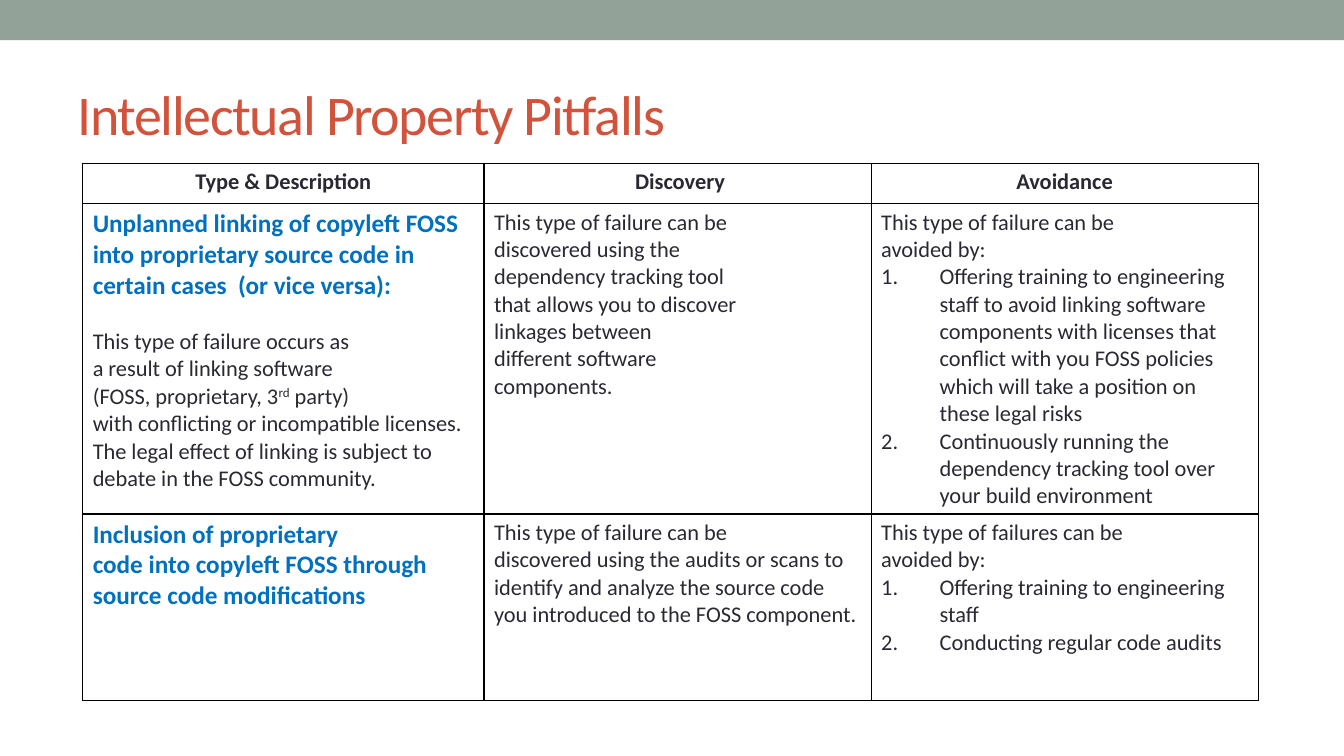
"""Build the slide on intellectual property pitfalls."""
from dataclasses import dataclass

from lxml.etree import SubElement
from pptx import Presentation
from pptx.dml.color import RGBColor
from pptx.enum.shapes import MSO_SHAPE
from pptx.enum.text import MSO_ANCHOR, PP_ALIGN
from pptx.oxml.ns import qn
from pptx.slide import Slide
from pptx.table import _Cell
from pptx.text.text import _Paragraph
from pptx.util import Inches, Pt

SAGE = RGBColor(0x93, 0xA2, 0x99)
RUST = RGBColor(0xD2, 0x53, 0x3C)
INK = RGBColor(0x29, 0x29, 0x34)
BLUE = RGBColor(0x00, 0x70, 0xC0)
BLACK = RGBColor(0x00, 0x00, 0x00)
FONT = "Calibri"
COLUMN_WIDTHS = (3.98, 3.84, 3.84)
ROW_HEIGHTS = (0.4, 3.08, 1.85)
NUMBER_INDENT = 0.58


@dataclass(frozen=True)
class Line:
    """One paragraph of a cell; a caret pair marks superscript text."""
    text: str
    size: float = 16
    color: RGBColor = INK
    bold: bool = False
    centered: bool = False
    numbered: bool = False
    space_before: float = 0


def header(text: str) -> list[Line]:
    """Return the content of a header cell."""
    return [Line(text, bold=True, centered=True)]


def headline(*texts: str) -> list[Line]:
    """Return the blue lines that name a pitfall."""
    return [Line(text, size=18, color=BLUE, bold=True) for text in texts]


def plain(*texts: str) -> list[Line]:
    """Return ordinary lines."""
    return [Line(text) for text in texts]


def numbered(*texts: str) -> list[Line]:
    """Return lines of a numbered list."""
    return [Line(text, numbered=True) for text in texts]


ROWS = [
    [header("Type & Description"), header(" Discovery"), header("Avoidance")],
    [
        headline("Unplanned linking of copyleft FOSS into proprietary source code "
                 "in certain cases  (or vice versa):")
        + [Line("This type of failure occurs as", space_before=19.5)]
        + plain("a result of linking software", "(FOSS, proprietary, 3^rd^ party)",
                "with conflicting or incompatible licenses. The legal effect of "
                "linking is subject to debate in the FOSS community."),
        plain("This type of failure can be", "discovered using the",
              "dependency tracking tool", "that allows you to discover",
              "linkages between", "different software", "components."),
        plain("This type of failure can be", "avoided by:")
        + numbered("Offering training to engineering staff to avoid linking software "
                   "components with licenses that conflict with you FOSS policies "
                   "which will take a position on these legal risks",
                   "Continuously running the dependency tracking tool over your "
                   "build environment"),
    ],
    [
        headline("Inclusion of proprietary", "code into copyleft FOSS through",
                 "source code modifications"),
        plain("This type of failure can be",
              "discovered using the audits or scans to identify and analyze the "
              "source code you introduced to the FOSS component."),
        plain("This type of failures can be", "avoided by:")
        + numbered("Offering training to engineering staff",
                   "Conducting regular code audits"),
    ],
]


def write_line(para: _Paragraph, line: Line) -> None:
    """Fill a paragraph with the runs of a line."""
    para.alignment = PP_ALIGN.CENTER if line.centered else PP_ALIGN.LEFT
    if line.space_before:
        para.space_before = Pt(line.space_before)
    if line.numbered:
        properties = para._p.get_or_add_pPr()
        properties.set("marL", str(Inches(NUMBER_INDENT)))
        properties.set("indent", str(-Inches(NUMBER_INDENT)))
        SubElement(properties, qn("a:buFont"), typeface="+mj-lt")
        SubElement(properties, qn("a:buAutoNum"), type="arabicPeriod")
    for position, text in enumerate(line.text.split("^")):
        span = para.add_run()
        span.text = text
        span.font.name = FONT
        span.font.size = Pt(line.size)
        span.font.bold = line.bold
        span.font.color.rgb = line.color
        if position % 2:
            span._r.get_or_add_rPr().set("baseline", "30000")


def draw_borders(cell: _Cell) -> None:
    """Put a thin black line on each side of a cell."""
    for side in ("lnL", "lnR", "lnT", "lnB"):
        border = SubElement(cell._tc.get_or_add_tcPr(), qn(f"a:{side}"), w=str(Pt(1)))
        fill = SubElement(border, qn("a:solidFill"))
        SubElement(fill, qn("a:srgbClr"), val=str(BLACK))


def write_cell(cell: _Cell, lines: list[Line]) -> None:
    """Write the lines of a cell and style it."""
    draw_borders(cell)
    cell.fill.background()
    cell.margin_left = cell.margin_right = Inches(0.1)
    cell.margin_top = cell.margin_bottom = Inches(0.05)
    frame = cell.text_frame
    for position, line in enumerate(lines):
        para = frame.add_paragraph() if position else frame.paragraphs[0]
        write_line(para, line)


def add_band(page: Slide) -> None:
    """Draw the band along the top edge."""
    band = page.shapes.add_shape(MSO_SHAPE.RECTANGLE, 0, 0, Inches(13.33), Inches(0.4))
    band.shadow.inherit = False
    band.fill.solid()
    band.fill.fore_color.rgb = SAGE
    band.line.fill.background()


def add_title(page: Slide) -> None:
    """Write the slide title."""
    box = page.shapes.add_textbox(Inches(0.67), Inches(0.58), Inches(12), Inches(1.08))
    frame = box.text_frame
    frame.word_wrap = True
    frame.vertical_anchor = MSO_ANCHOR.MIDDLE
    para = frame.paragraphs[0]
    write_line(para, Line("Intellectual Property Pitfalls", size=40, color=RUST))
    para.runs[0]._r.get_or_add_rPr().set("spc", "-100")


def add_pitfall_table(page: Slide) -> None:
    """Draw the table of pitfalls."""
    table = page.shapes.add_table(
        len(ROW_HEIGHTS), len(COLUMN_WIDTHS), Inches(0.82), Inches(1.62),
        Inches(sum(COLUMN_WIDTHS)), Inches(sum(ROW_HEIGHTS))).table
    table.first_row = table.horz_banding = False
    for column, width in zip(table.columns, COLUMN_WIDTHS):
        column.width = Inches(width)
    for row, height, contents in zip(table.rows, ROW_HEIGHTS, ROWS):
        row.height = Inches(height)
        for cell, lines in zip(row.cells, contents):
            write_cell(cell, lines)


def main() -> None:
    """Build and save the deck."""
    deck = Presentation()
    deck.slide_width, deck.slide_height = Inches(13.33), Inches(7.5)
    page = deck.slides.add_slide(deck.slide_layouts[6])
    add_band(page)
    add_title(page)
    add_pitfall_table(page)
    deck.save("out.pptx")


if __name__ == "__main__":
    main()
